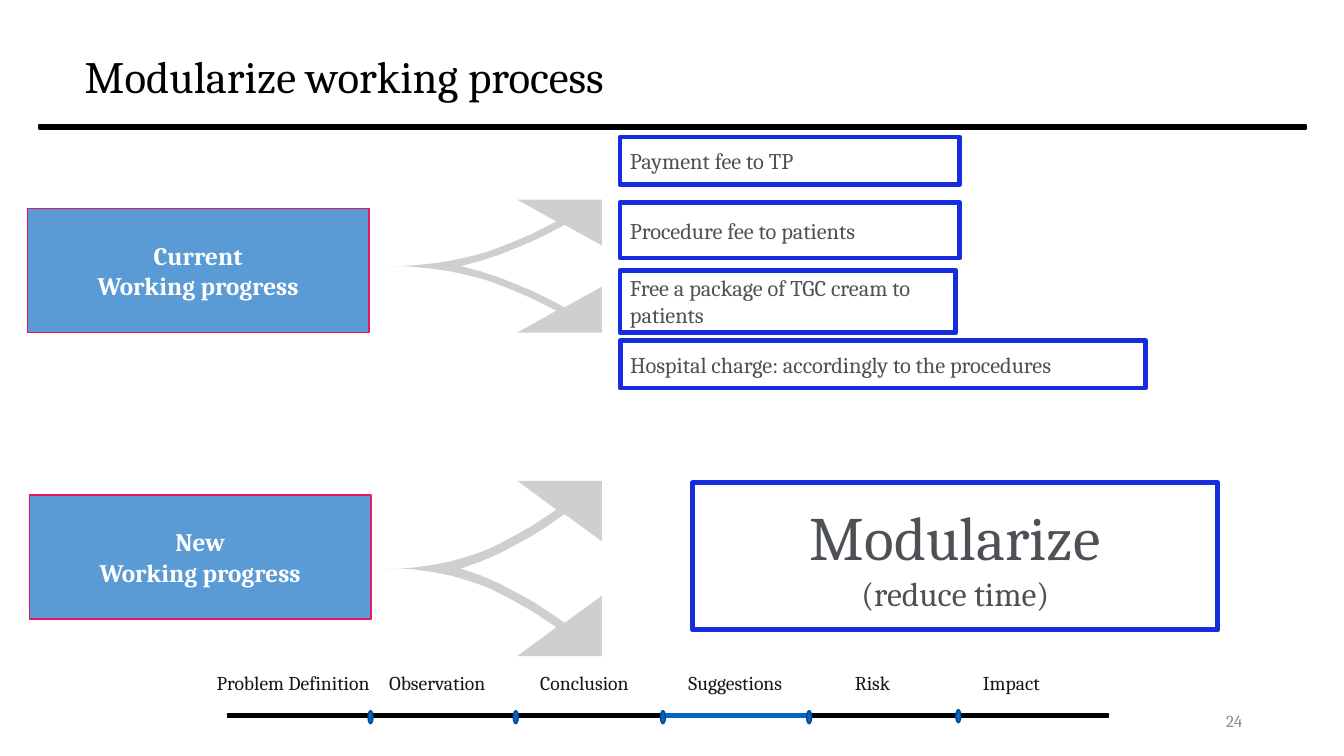
"""Build the slide on modularizing the working process."""
from pptx import Presentation
from pptx.dml.color import RGBColor
from pptx.enum.shapes import MSO_SHAPE as Shape
from pptx.enum.text import MSO_ANCHOR as Anchor, PP_ALIGN as Align
from pptx.util import Inches, Pt

COLORS = {
    "black": "000000", "white": "FFFFFF", "label": "171616", "number": "8C8C8C",
    "accent": "0563C1", "dot_edge": "04498F", "fork": "D0CECE", "stage": "5B9BD5",
    "stage_edge": "E91762", "frame": "152DDF", "body": "4D5156",
}


def add_shape(kind, place, fill, line, weight=1):
    shape = page.shapes.add_shape(kind, *map(Inches, place))
    shape.shadow.inherit = False
    shape.fill.solid()
    shape.fill.fore_color.rgb = RGBColor.from_string(COLORS[fill])
    shape.line.color.rgb = RGBColor.from_string(COLORS[line])
    shape.line.width = Pt(weight)
    return shape


def write(box, lines, color, align=Align.LEFT, bold=False, wrap=True, anchor=Anchor.MIDDLE):
    frame = box.text_frame
    frame.word_wrap = wrap
    frame.vertical_anchor = anchor
    frame.text = "\n".join(text for text, size in lines)
    for para, (text, size) in zip(frame.paragraphs, lines):
        para.alignment = align
        para.font.name = "Cambria"
        para.font.size = Pt(size)
        para.font.bold = bold
        para.font.color.rgb = RGBColor.from_string(COLORS[color])


deck = Presentation()
deck.slide_width, deck.slide_height = Inches(13.33), Inches(7.5)
page = deck.slides.add_slide(deck.slide_layouts[5])

title = page.shapes.title
title.left, title.top, title.width, title.height = map(Inches, (0.74, 0.06, 11.5, 1.45))
write(title, [("Modularize working process", 32)], "black")
title.text_frame.paragraphs[0].line_spacing = 0.9

for left, top, width, color in [
    (-1.88, 1.17, 17.1, "black"), (0.68, 7.01, 11.89, "black"), (6.31, 7.01, 1.93, "accent"),
]:
    add_shape(Shape.MATH_MINUS, (left, top, width, 0.18), color, color)

for left, top in [(3.65, 7.05), (5.09, 7.05), (6.55, 7.05), (8, 7.05), (9.48, 7.04)]:
    add_shape(Shape.OVAL, (left, top, 0.05, 0.13), "accent", "dot_edge")

for step, left, width in [
    ("Problem Definition", 2.05, 1.8), ("Observation", 3.76, 1.22), ("Conclusion", 5.26, 1.13),
    ("Suggestions", 6.73, 1.2), ("Risk", 8.38, 0.57), ("Impact", 9.65, 0.79),
]:
    label = page.shapes.add_textbox(*map(Inches, (left, 6.61, width, 0.34)))
    write(label, [(step, 14)], "label", wrap=False, anchor=Anchor.TOP)

number = page.shapes.add_textbox(*map(Inches, (9.42, 6.95, 3, 0.4)))
write(number, [("24", 12)], "number", Align.RIGHT)

upper_half = [
    (3.83, 0), (3.97, 0), (4.1, 0.01), (4.29, 0.04), (4.47, 0.08), (4.59, 0.12), (4.7, 0.16),
    (4.8, 0.2), (4.9, 0.25), (5, 0.31), (5.1, 0.37), (5.19, 0.43), (5.27, 0.48),
    (5.4, 0.58), (5.52, 0.67), (5.13, 1), (5.97, 1), (5.97, 0.31), (5.6, 0.62),
    (5.45, 0.5), (5.29, 0.38), (5.13, 0.28), (4.95, 0.17), (4.77, 0.08), (4.57, 0),
]
for middle, half_height in [(2.64, 0.66), (5.64, 0.87)]:
    outline = [(x, middle - half_height * rise) for x, rise in upper_half]
    outline += [(x, middle + half_height * rise) for x, rise in upper_half[-2::-1]]
    points = [(Inches(x), Inches(y)) for x, y in outline]
    builder = page.shapes.build_freeform(*points[0])
    builder.add_line_segments(points[1:])
    fork = builder.convert_to_shape()
    fork.shadow.inherit = False
    fork.fill.solid()
    fork.fill.fore_color.rgb = RGBColor.from_string(COLORS["fork"])
    fork.line.fill.background()

for stage, left, top in [("Current", 0.27, 2.07), ("New", 0.29, 4.91)]:
    box = add_shape(Shape.RECTANGLE, (left, top, 3.39, 1.23), "stage", "stage_edge")
    write(box, [(stage, 18), ("Working progress", 18)], "white", Align.CENTER, bold=True)

for task, top, width, height in [
    ("Payment fee to TP", 1.36, 3.37, 0.47),
    ("Procedure fee to patients", 2.01, 3.37, 0.55),
    ("Free a package of TGC cream to patients", 2.68, 3.33, 0.62),
    ("Hospital charge: accordingly to the procedures", 3.38, 5.21, 0.47),
]:
    box = add_shape(Shape.RECTANGLE, (6.15, top, width, height), "white", "frame", 3.5)
    write(box, [(task, 16)], "body")

result = add_shape(Shape.RECTANGLE, (6.87, 4.79, 5.21, 1.46), "white", "frame", 3.5)
write(result, [("Modularize", 44), ("(reduce time)", 24)], "body", Align.CENTER)

deck.save("out.pptx")
